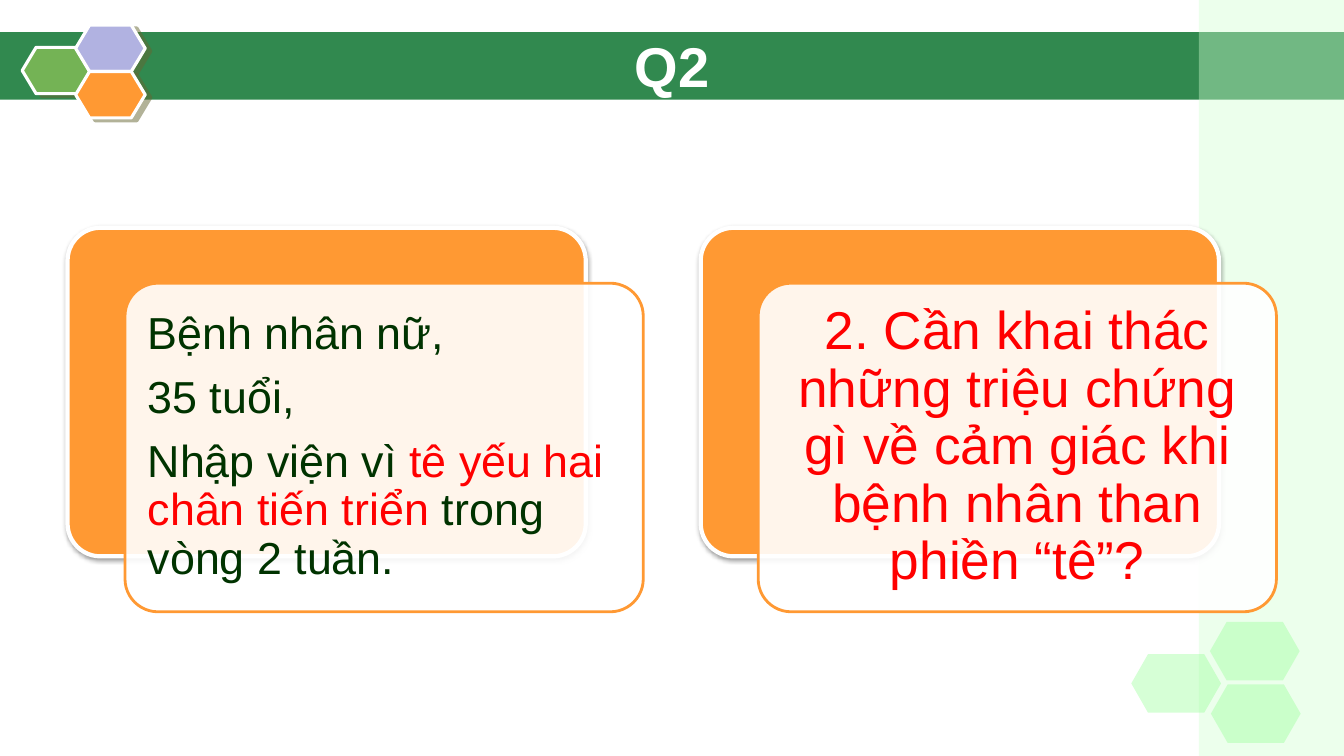
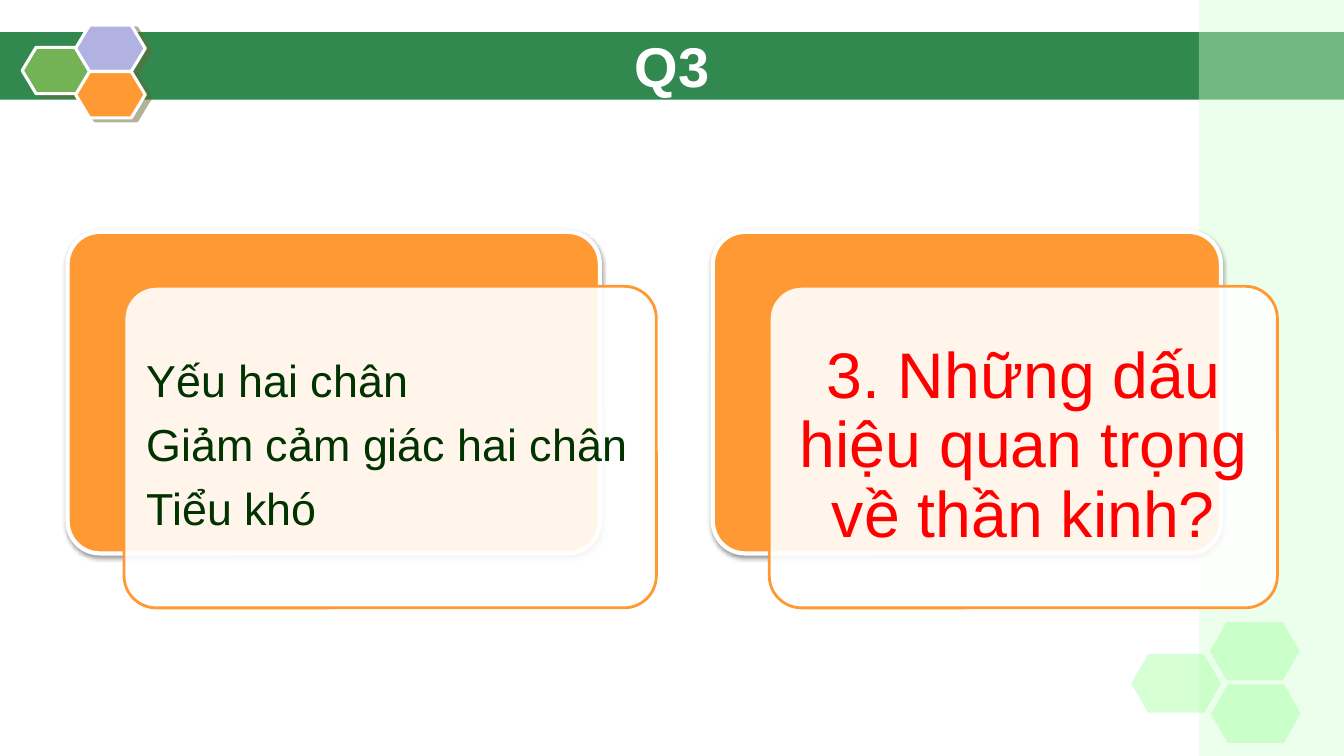
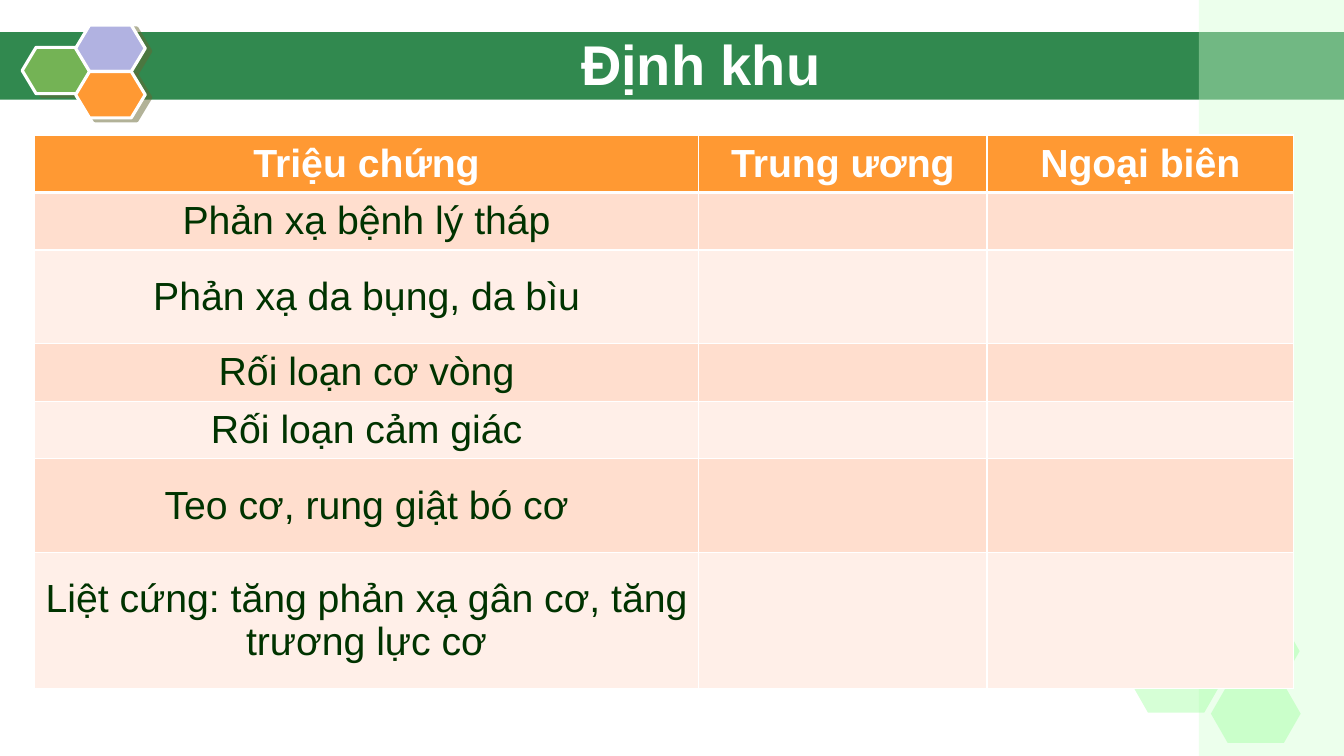
import lxml.etree
import pptx
import pptx.dml.color
import pptx.enum.shapes
import pptx.enum.text
import pptx.oxml.ns
import pptx.util

EMU_PER_PX = 9144
SLIDE_WIDTH, SLIDE_HEIGHT = 1333, 750
FONT = "Arial"
COLOURS = {
    "white": "FFFFFF",
    "band": "31894F",
    "green": "74B355",
    "lilac": "B1B2E1",
    "orange": "FF9933",
    "side": "D1FFD1",
    "mint": "8CFF8C",
    "text": "003300",
    "red": "FF0000",
    "row_dark": "FFDECE",
    "row_light": "FFEFE8",
    "olive": "666633",
    "black": "000000",
}
SHAPES = pptx.enum.shapes.MSO_SHAPE
ALIGN = pptx.enum.text.PP_ALIGN
MIDDLE = pptx.enum.text.MSO_ANCHOR.MIDDLE
qn = pptx.oxml.ns.qn

HEXAGON_SHADOW = dict(colour="olive", alpha=50, blur=0, distance=4.5, angle=27)
CARD_SHADOW = dict(colour="black", alpha=38, blur=3.1, distance=1.6, angle=90)


def px(length):
    return pptx.util.Emu(round(length * EMU_PER_PX))


def rgb(name):
    return pptx.dml.color.RGBColor.from_string(COLOURS[name])


def add_colour(parent, name, alpha=100):
    """Append an a:srgbClr element, with an opacity in percent."""
    colour = lxml.etree.SubElement(parent, qn("a:srgbClr"), val=COLOURS[name])
    if alpha < 100:
        lxml.etree.SubElement(colour, qn("a:alpha"), val=str(alpha * 1000))


def add_shadow(shape, colour, alpha, blur, distance, angle):
    effects = shape._element.spPr.find(qn("a:effectLst"))
    shadow = lxml.etree.SubElement(
        effects, qn("a:outerShdw"),
        blurRad=str(pptx.util.Pt(blur)), dist=str(pptx.util.Pt(distance)),
        dir=str(angle * 60000), algn="ctr", rotWithShape="0")
    add_colour(shadow, colour, alpha)


def add_block(page, kind, box, fill, alpha=100, line=None, line_width=1,
              adjust=None, shadow=None):
    shape = page.shapes.add_shape(kind, *map(px, box))
    shape.shadow.inherit = False
    shape.fill.solid()
    shape.fill.fore_color.rgb = rgb(fill)
    if alpha < 100:
        colour = shape._element.spPr.find(
            qn("a:solidFill") + "/" + qn("a:srgbClr"))
        lxml.etree.SubElement(colour, qn("a:alpha"), val=str(alpha * 1000))
    if line:
        shape.line.color.rgb = rgb(line)
        shape.line.width = pptx.util.Pt(line_width)
    else:
        shape.line.fill.background()
    if adjust is not None:
        shape.adjustments[0] = adjust
    if shadow:
        add_shadow(shape, **shadow)
    return shape


def style(para, size, colour, bold=False, align=ALIGN.CENTER):
    para.alignment = align
    para.font.name = FONT
    para.font.size = pptx.util.Pt(size)
    para.font.bold = bold
    para.font.color.rgb = rgb(colour)


def add_frame(page):
    """Draw the band, hexagons and side strip that every slide shares."""
    add_block(page, SHAPES.RECTANGLE, (0, 32, SLIDE_WIDTH, 67), "band")
    for left, top, fill in ((22, 47, "green"), (75, 25, "lilac"),
                            (75, 71, "orange")):
        add_block(page, SHAPES.HEXAGON, (left, top, 69, 46), fill,
                  line="white", line_width=2.25, adjust=0.3,
                  shadow=HEXAGON_SHADOW)
    add_block(page, SHAPES.RECTANGLE, (1189, 0, 144, SLIDE_HEIGHT), "side",
              alpha=40)
    for left, top in ((1122, 649), (1200, 617), (1201, 679)):
        add_block(page, SHAPES.HEXAGON, (left, top, 89, 58), "mint",
                  alpha=35, adjust=0.286)


def add_title(page, text, box):
    title = page.shapes.add_textbox(*map(px, box))
    frame = title.text_frame
    frame.word_wrap = True
    frame.vertical_anchor = MIDDLE
    para = frame.paragraphs[0]
    para.text = text
    style(para, 40, "white", bold=True)


def add_card(page, box, paragraphs, size, colour, align, inset):
    """Draw an orange plate with a text panel shifted down and right."""
    left, top, width, height = box
    shift_x, shift_y = round(height * 0.15), round(height * 0.144)
    plate_size = (width - shift_x, height - shift_y)
    add_block(page, SHAPES.ROUNDED_RECTANGLE, (left, top, *plate_size),
              "orange", line="white", line_width=3, adjust=0.1,
              shadow=CARD_SHADOW)
    panel = add_block(page, SHAPES.ROUNDED_RECTANGLE,
                      (left + shift_x, top + shift_y, *plate_size),
                      "white", alpha=90, line="orange", line_width=2,
                      adjust=0.1)
    frame = panel.text_frame
    frame.word_wrap = True
    frame.vertical_anchor = MIDDLE
    frame.margin_left = frame.margin_right = px(inset)
    frame.margin_top = frame.margin_bottom = px(inset)
    for index, spans in enumerate(paragraphs):
        para = frame.add_paragraph() if index else frame.paragraphs[0]
        style(para, size, colour, align=align)
        para.line_spacing = 0.9
        para.space_after = pptx.util.Pt(round(size * 0.35))
        for text, span_colour in spans:
            span = para.add_run()
            span.text = text
            if span_colour != colour:
                span.font.color.rgb = rgb(span_colour)


def add_question_slide(page, title, case_box, case, question_box, question,
                       question_size, question_inset):
    add_frame(page)
    add_title(page, title, (111, 17, 1111, 95))
    add_card(page, case_box, case, 32, "text", ALIGN.LEFT, 13)
    add_card(page, question_box, [[(question, "red")]], question_size, "red",
             ALIGN.CENTER, question_inset)


def set_borders(cell, bottom_width):
    properties = cell._tc.get_or_add_tcPr()
    widths = {"a:lnL": 1, "a:lnR": 1, "a:lnT": 1, "a:lnB": bottom_width}
    for index, (tag, width) in enumerate(widths.items()):
        border = lxml.etree.Element(qn(tag), w=str(pptx.util.Pt(width)))
        add_colour(lxml.etree.SubElement(border, qn("a:solidFill")), "white")
        properties.insert(index, border)


def add_sign_table(page, left, top, widths, heights, header, signs):
    rows = [header] + [(sign, "", "") for sign in signs]
    table = page.shapes.add_table(
        len(rows), len(widths), px(left), px(top),
        px(sum(widths)), px(sum(heights))).table
    for column, width in zip(table.columns, widths):
        column.width = px(width)
    for index, (row, height, texts) in enumerate(
            zip(table.rows, heights, rows)):
        row.height = px(height)
        is_header = index == 0
        fill = ("orange" if is_header
                else "row_dark" if index % 2 else "row_light")
        for cell, text in zip(row.cells, texts):
            cell.fill.solid()
            cell.fill.fore_color.rgb = rgb(fill)
            set_borders(cell, 3 if is_header else 1)
            cell.vertical_anchor = MIDDLE
            if text:
                para = cell.text_frame.paragraphs[0]
                para.text = text
                style(para, 28, "white" if is_header else "text",
                      bold=is_header)


def add_table_slide(page):
    add_frame(page)
    add_title(page, "Định khu", (186, 30, 1018, 66))
    add_sign_table(
        page, 34, 134, (659, 286, 304), (57, 57, 93, 57, 57, 93, 135),
        ("Triệu chứng", "Trung ương", "Ngoại biên"),
        ("Phản xạ bệnh lý tháp",
         "Phản xạ da bụng, da bìu",
         "Rối loạn cơ vòng",
         "Rối loạn cảm giác",
         "Teo cơ, rung giật bó cơ",
         "Liệt cứng: tăng phản xạ gân cơ, tăng trương lực cơ"))


def main():
    deck = pptx.Presentation()
    deck.slide_width, deck.slide_height = px(SLIDE_WIDTH), px(SLIDE_HEIGHT)
    blank = deck.slide_layouts[6]
    add_question_slide(
        deck.slides.add_slide(blank), "Q2",
        (67, 226, 571, 381),
        [[("Bệnh nhân nữ,", "text")],
         [("35 tuổi,", "text")],
         [("Nhập viện vì ", "text"),
          ("tê yếu hai chân tiến triển", "red"),
          (" trong vòng 2 tuần.", "text")]],
        (695, 226, 571, 381),
        "2. Cần khai thác những triệu chứng gì về cảm giác khi bệnh nhân "
        "than phiền “tê”?", 38, 16)
    add_question_slide(
        deck.slides.add_slide(blank), "Q3",
        (67, 230, 584, 373),
        [[("Yếu hai chân", "text")],
         [("Giảm cảm giác hai chân", "text")],
         [("Tiểu khó", "text")]],
        (707, 230, 560, 373),
        "3. Những dấu hiệu quan trọng về thần kinh?", 46, 19)
    add_table_slide(deck.slides.add_slide(blank))
    deck.save("out.pptx")


if __name__ == "__main__":
    main()
